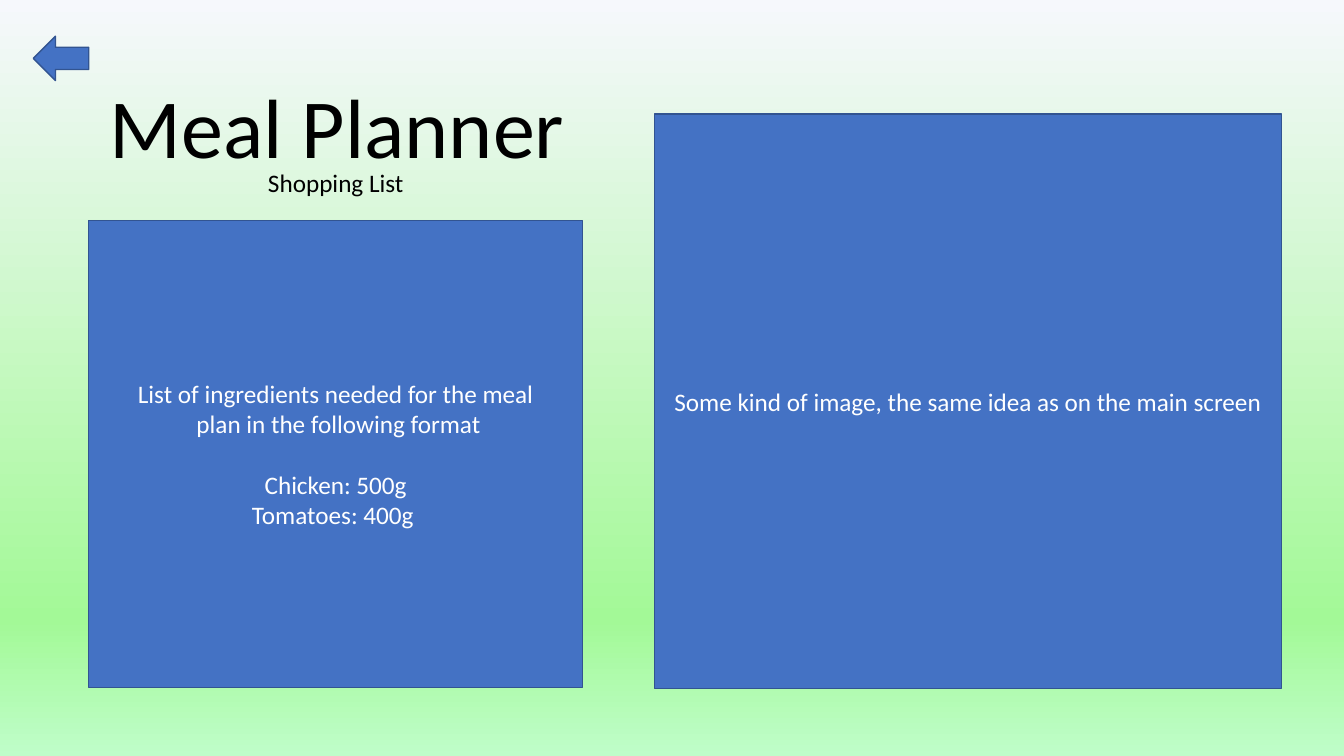
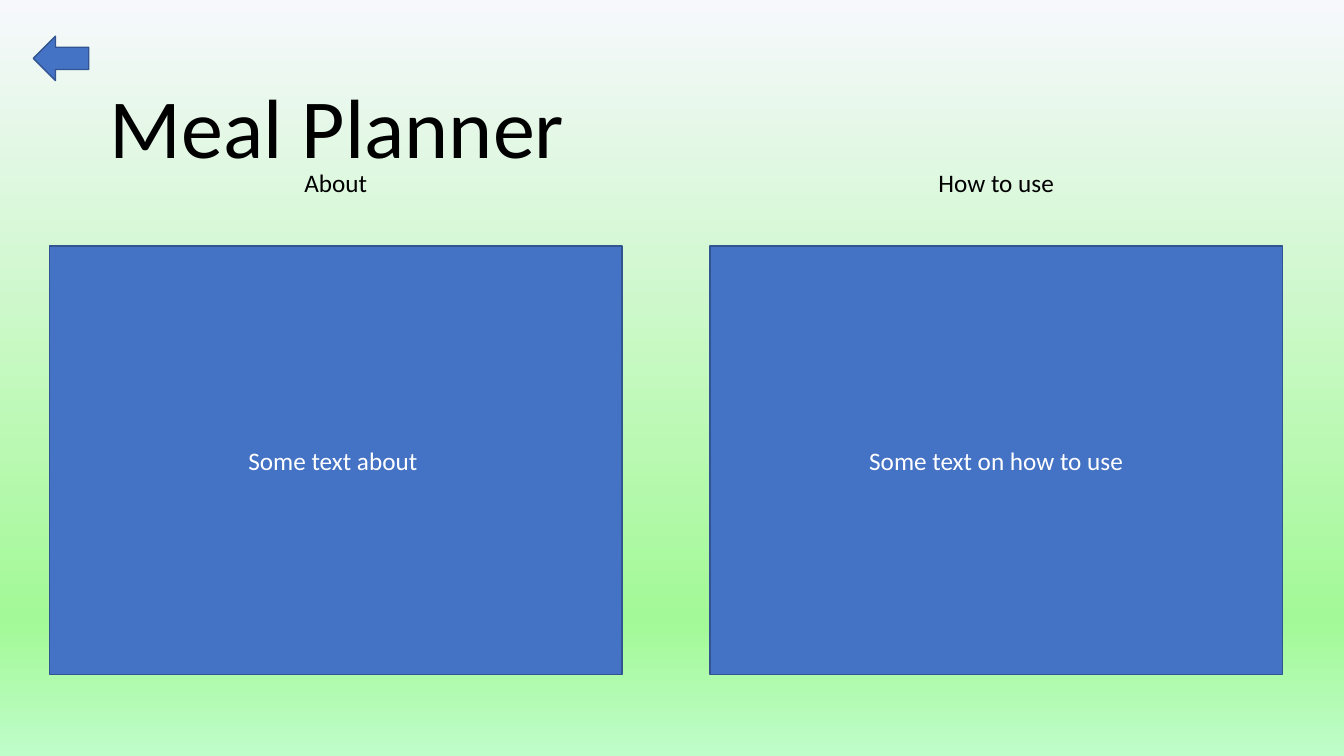
from copy import deepcopy

from pptx import Presentation
from pptx.dml.color import RGBColor
from pptx.enum.shapes import MSO_SHAPE as Shape
from pptx.enum.text import MSO_ANCHOR as Anchor, MSO_AUTO_SIZE as AutoSize, PP_ALIGN as Align
from pptx.oxml.ns import qn
from pptx.util import Inches, Pt

FONT = "Calibri"
BLACK, WHITE, BLUE, DARK_BLUE = "000000", "FFFFFF", "4472C4", "325491"
BACKGROUND_STOPS = [(0, "F6F8FC"), (0.82, "A3F997"), (1, "BFFDC9")]
HEADING_WIDTH = 3.52
PANEL_GAP = 22


def rgb(color):
    """Turn a hex string into a colour."""
    return RGBColor.from_string(color)


def place(shape, left, top, width, height):
    """Position a shape, in inches."""
    shape.left, shape.top = Inches(left), Inches(top)
    shape.width, shape.height = Inches(width), Inches(height)


def format_paragraph(paragraph, size, color, alignment):
    """Set the font and alignment of a paragraph."""
    paragraph.alignment = alignment
    paragraph.font.name = FONT
    paragraph.font.size = Pt(size)
    paragraph.font.color.rgb = rgb(color)


def set_background(master):
    """Give every slide the vertical green gradient."""
    fill = master.background.fill
    fill.gradient()
    fill.gradient_angle = 270
    stop_list = next(master.element.iter(qn("a:gsLst")))
    stop_list.append(deepcopy(stop_list[-1]))
    for stop, (position, color) in zip(fill.gradient_stops, BACKGROUND_STOPS):
        stop.position = position
        stop.color.rgb = rgb(color)


def add_blue_shape(slide, kind, left, top, width, height):
    """Add a blue preset shape with a thin darker outline."""
    shape = slide.shapes.add_shape(
        kind, Inches(left), Inches(top), Inches(width), Inches(height))
    shape.shadow.inherit = False
    shape.fill.solid()
    shape.fill.fore_color.rgb = rgb(BLUE)
    shape.line.color.rgb = rgb(DARK_BLUE)
    shape.line.width = Pt(1)
    return shape


def add_panel(slide, left, top, width, height, text, gap_before=None):
    """Add a panel of centred text, with an optional gap before one paragraph."""
    frame = add_blue_shape(slide, Shape.RECTANGLE, left, top, width, height).text_frame
    frame.word_wrap = True
    frame.vertical_anchor = Anchor.MIDDLE
    frame.text = text
    for paragraph in frame.paragraphs:
        format_paragraph(paragraph, 18, WHITE, Align.CENTER)
    if gap_before is not None:
        frame.paragraphs[gap_before].space_before = Pt(PANEL_GAP)


def add_heading(slide, center, text):
    """Add a small heading centred on a horizontal position."""
    box = slide.shapes.add_textbox(0, 0, 0, 0)
    place(box, center - HEADING_WIDTH / 2, 1.61, HEADING_WIDTH, 0.4)
    frame = box.text_frame
    frame.word_wrap = True
    frame.auto_size = AutoSize.SHAPE_TO_FIT_TEXT
    frame.text = text
    format_paragraph(frame.paragraphs[0], 18, BLACK, Align.CENTER)


def add_screen(presentation):
    """Add a slide with the app title and the back arrow."""
    slide = presentation.slides.add_slide(presentation.slide_layouts[5])
    title = slide.shapes.title
    place(title, 0.99, 0.8, 4.9, 1)
    frame = title.text_frame
    frame.auto_size = AutoSize.NONE
    frame.vertical_anchor = Anchor.BOTTOM
    frame.text = "Meal Planner"
    format_paragraph(frame.paragraphs[0], 60, BLACK, Align.LEFT)
    frame.paragraphs[0].line_spacing = 0.9
    add_blue_shape(slide, Shape.LEFT_ARROW, 0.33, 0.36, 0.55, 0.44)
    return slide


def build_shopping_list(presentation):
    """Build the shopping list screen."""
    slide = add_screen(presentation)
    add_heading(slide, 3.33, "Shopping List")
    ingredients = ("List of ingredients needed for the meal\v plan in the following format\n"
                   "Chicken: 500g\nTomatoes: 400g ")
    add_panel(slide, 0.88, 2.19, 4.9, 4.63, ingredients, gap_before=1)
    add_panel(slide, 6.49, 1.13, 6.22, 5.7,
              "Some kind of image, the same idea as on the main screen")


def build_about(presentation):
    """Build the screen with the about and how-to-use columns."""
    slide = add_screen(presentation)
    width = 5.68
    columns = [(0.49, "About", "Some text about "),
               (7.04, "How to use", "Some text on how to use")]
    for left, heading, text in columns:
        add_heading(slide, left + width / 2, heading)
        add_panel(slide, left, 2.44, width, 4.25, text)


def main():
    """Build and save the presentation."""
    presentation = Presentation()
    presentation.slide_width = Inches(13.33)
    presentation.slide_height = Inches(7.5)
    set_background(presentation.slide_master)
    build_shopping_list(presentation)
    build_about(presentation)
    presentation.save("out.pptx")


if __name__ == "__main__":
    main()
